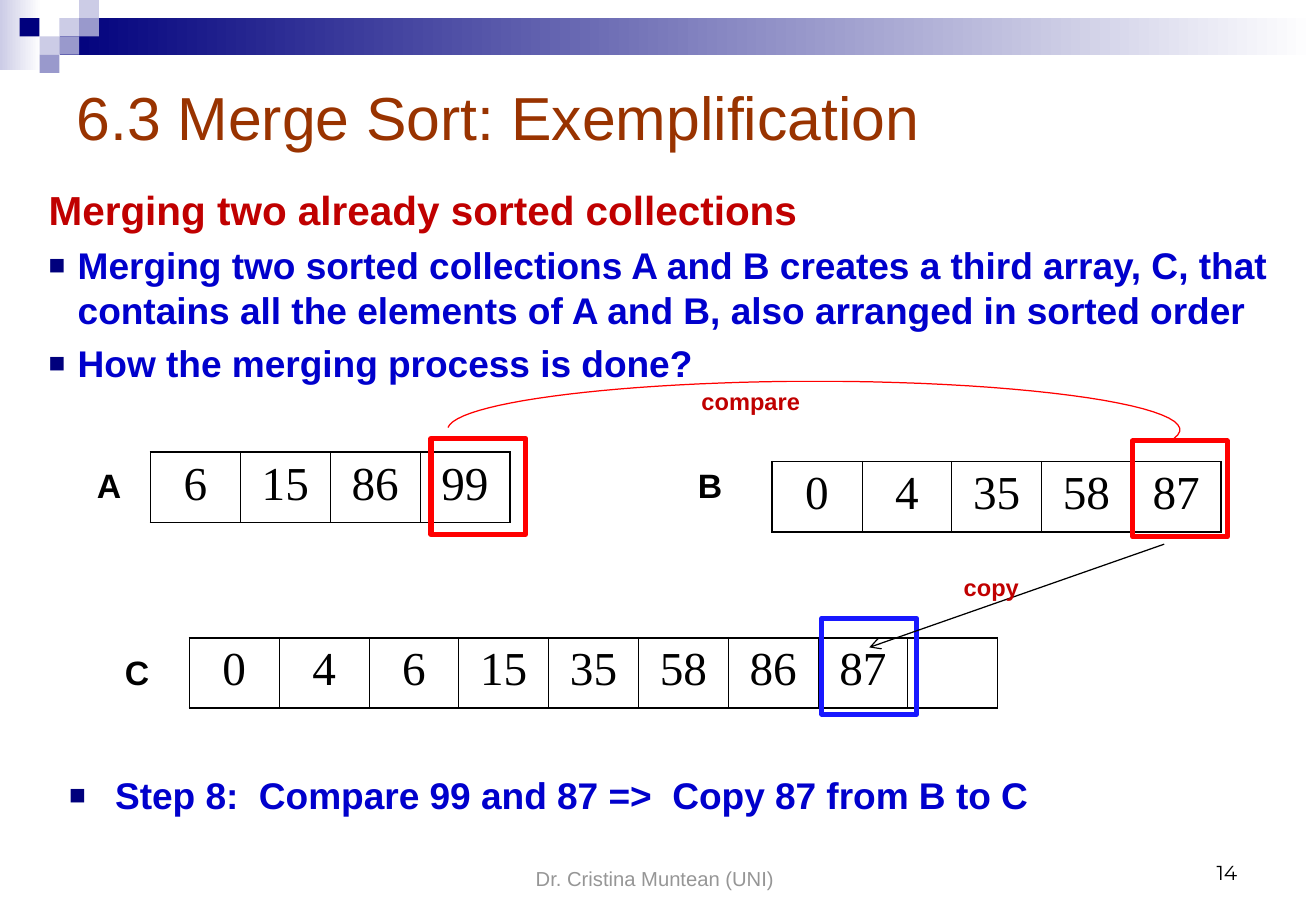
from lxml.etree import SubElement
from pptx import Presentation
from pptx.dml.color import RGBColor
from pptx.enum.shapes import MSO_CONNECTOR, MSO_SHAPE
from pptx.enum.text import MSO_ANCHOR, MSO_AUTO_SIZE, PP_ALIGN
from pptx.oxml.ns import qn
from pptx.util import Inches, Pt

BLACK = RGBColor(0x00, 0x00, 0x00)
WHITE = RGBColor(0xFF, 0xFF, 0xFF)
NAVY = RGBColor(0x00, 0x00, 0x7D)
LILAC = RGBColor(0xCC, 0xCC, 0xE6)
VIOLET = RGBColor(0x99, 0x99, 0xCC)
GREY = RGBColor(0x96, 0x96, 0x96)
BROWN = RGBColor(0x99, 0x33, 0x00)
CRIMSON = RGBColor(0xC0, 0x00, 0x00)
RED = RGBColor(0xFF, 0x00, 0x00)
BLUE = RGBColor(0x00, 0x00, 0xCC)
BRIGHT = RGBColor(0x18, 0x18, 0xFF)

CELL_W, CELL_H = 0.74, 0.58


def place(shape, box):
    shape.left, shape.top, shape.width, shape.height = map(Inches, box)


def write(par, text, size=22, color=BLUE, font="Arial", bold=False,
          align=PP_ALIGN.LEFT, before=0):
    par.alignment = align
    par.space_before = Pt(before)
    run = par.add_run()
    run.text = text
    run.font.size = Pt(size)
    run.font.name = font
    run.font.bold = bold
    run.font.color.rgb = color


def set_bullet(par, indent, mark=None):
    """Give the paragraph a hanging indent and a square, or no bullet."""
    props = par._p.get_or_add_pPr()
    props.set("marL", str(Inches(indent)))
    props.set("indent", str(-Inches(indent)))
    if mark is None:
        SubElement(props, qn("a:buNone"))
        return
    SubElement(SubElement(props, qn("a:buClr")), qn("a:srgbClr"), val=str(NAVY))
    SubElement(props, qn("a:buSzPct"), val="75000")
    SubElement(props, qn("a:buFont"), typeface="Arial")
    SubElement(props, qn("a:buChar"), char=mark)


def add_label(slide, box, text, anchor=MSO_ANCHOR.TOP, **style):
    frame = slide.shapes.add_textbox(*map(Inches, box)).text_frame
    frame.word_wrap = True
    frame.vertical_anchor = anchor
    write(frame.paragraphs[0], text, **style)
    return frame.paragraphs[0]


def add_rect(slide, box, fill=None, fade=None, line=None):
    """Draw a rectangle; fade is the right-hand colour of a gradient."""
    rect = slide.shapes.add_shape(MSO_SHAPE.RECTANGLE, *map(Inches, box))
    rect.shadow.inherit = False
    if fade is not None:
        rect.fill.gradient()
        rect.fill.gradient_angle = 0
        for stop, color, spot in zip(rect.fill.gradient_stops, (fill, fade), (0, 1)):
            stop.color.rgb = color
            stop.position = spot
    elif fill is not None:
        rect.fill.solid()
        rect.fill.fore_color.rgb = fill
    else:
        rect.fill.background()
    if line is None:
        rect.line.fill.background()
    else:
        rect.line.color.rgb = line
        rect.line.width = Pt(3)


def add_banner(slide, width):
    add_rect(slide, (0, 0, 0.34, 0.58), LILAC, WHITE)
    add_rect(slide, (0.49, 0.15, width - 0.49, 0.3), NAVY, WHITE)
    step_x, step_y = 0.163, 0.15
    tiles = [(3, 1, LILAC), (5, 0, LILAC), (4, 1, VIOLET), (2, 2, LILAC),
             (1, 1, NAVY), (3, 2, VIOLET), (2, 3, VIOLET)]
    for col, row, color in tiles:
        if col == 5:
            col = 4
        add_rect(slide, (col * step_x, row * step_y, step_x, step_y), color)


def add_title(slide, box):
    title = slide.shapes.title
    place(title, box)
    frame = title.text_frame
    frame.auto_size = MSO_AUTO_SIZE.NONE
    frame.vertical_anchor = MSO_ANCHOR.MIDDLE
    write(frame.paragraphs[0], "6.3 Merge Sort: Exemplification", size=36, color=BROWN)


def add_body(slide, box):
    body = slide.placeholders[1]
    place(body, box)
    frame = body.text_frame
    frame.auto_size = MSO_AUTO_SIZE.NONE
    head = frame.paragraphs[0]
    write(head, "Merging two already sorted collections", size=24,
          color=CRIMSON, bold=True, before=6)
    set_bullet(head, 0)
    for text in (
        "Merging two sorted collections A and B creates a third array, C, that "
        "contains all the elements of A and B, also arranged in sorted order",
        "How the merging process is done?",
    ):
        par = frame.add_paragraph()
        write(par, text, bold=True, before=5.5)
        set_bullet(par, 0.24, "■")


def add_border(cell, sides):
    """Draw the cell's edges; sides maps a tag to a width in points."""
    props = cell._tc.get_or_add_tcPr()
    for spot, (tag, width) in enumerate(sides.items()):
        edge = SubElement(props, qn(tag), w=str(Pt(width)))
        SubElement(SubElement(edge, qn("a:solidFill")), qn("a:srgbClr"), val=str(BLACK))
        props.insert(spot, edge)


def add_array(slide, name, values, left, top, label):
    """Draw a one-row array with its name at the label position."""
    add_label(slide, (*label, 0.46, 0.44), name, size=20, color=BLACK, bold=True)
    count = len(values)
    box = (left, top, count * CELL_W, CELL_H)
    table = slide.shapes.add_table(1, count, *map(Inches, box)).table
    table.first_row = table.horz_banding = False
    for col, value in enumerate(values):
        table.columns[col].width = Inches(CELL_W)
        cell = table.cell(0, col)
        cell.fill.background()
        add_border(cell, {
            "a:lnL": 1.08 if col == 0 else 0.45,
            "a:lnR": 1.08 if col == count - 1 else 0.45,
            "a:lnT": 1.08, "a:lnB": 1.08,
        })
        if value is not None:
            write(cell.text_frame.paragraphs[0], str(value), size=28, color=BLACK,
                  font="Times New Roman", align=PP_ALIGN.CENTER, before=7)


def add_arc(slide, start, curves, steps=24):
    """Trace joined cubic curves, each given as two controls and an end."""
    points = []
    first = start
    for curve in curves:
        for i in range(1, steps + 1):
            t = i / steps
            weights = ((1 - t) ** 3, 3 * t * (1 - t) ** 2, 3 * t * t * (1 - t), t ** 3)
            points.append(tuple(
                Inches(sum(w * p[axis] for w, p in zip(weights, (first, *curve))))
                for axis in (0, 1)))
        first = curve[-1]
    form = slide.shapes.build_freeform(*map(Inches, start))
    form.add_line_segments(points, close=False)
    arc = form.convert_to_shape()
    arc.shadow.inherit = False
    arc.fill.background()
    arc.line.color.rgb = RED
    arc.line.width = Pt(0.75)


def add_arrow(slide, start, end):
    arrow = slide.shapes.add_connector(MSO_CONNECTOR.STRAIGHT, *map(Inches, start + end))
    arrow.line.color.rgb = BLACK
    arrow.line.width = Pt(0.75)
    SubElement(arrow.line._get_or_add_ln(), qn("a:tailEnd"), type="arrow")
    SubElement(arrow._element.spPr, qn("a:effectLst"))


def add_merge(slide):
    add_array(slide, "A", (6, 15, 86, 99), 1.24, 3.72, (0.7, 3.78))
    add_array(slide, "B", (0, 4, 35, 58, 87), 6.36, 3.8, (5.65, 3.78))
    add_array(slide, "C", (0, 4, 6, 15, 35, 58, 86, 87, None), 1.56, 5.25, (0.93, 5.32))
    for left, top, color in ((3.55, 3.61, RED), (9.33, 3.63, RED), (6.77, 5.09, BRIGHT)):
        add_rect(slide, (left, top, 0.78, 0.79), line=color)
    add_arrow(slide, (9.59, 4.48), (7.16, 5.33))
    add_arc(slide, (3.69, 3.52), [
        ((3.77, 3.32), (4.97, 3.16), (6.48, 3.14)),
        ((6.63, 3.14), (6.79, 3.14), (6.94, 3.14)),
        ((8.72, 3.16), (9.99, 3.38), (9.67, 3.61)),
    ])
    note = dict(size=14, color=CRIMSON, bold=True)
    add_label(slide, (5.68, 3.14, 1.46, 0.34), "compare", **note)
    add_label(slide, (7.84, 4.67, 0.81, 0.34), "copy", **note)


def add_footer(slide):
    add_label(slide, (3.68, 6.88, 3.43, 0.5), "Dr. Cristina Muntean (UNI)",
              anchor=MSO_ANCHOR.BOTTOM, size=12, color=GREY, align=PP_ALIGN.CENTER)
    add_label(slide, (7.76, 6.83, 2.53, 0.5), "14", anchor=MSO_ANCHOR.BOTTOM,
              size=12, color=BLACK, font="Montserrat", align=PP_ALIGN.RIGHT)


def main():
    deck = Presentation()
    deck.slide_width, deck.slide_height = Inches(10.84), Inches(7.5)
    slide = deck.slides.add_slide(deck.slide_layouts[1])
    add_banner(slide, 10.84)
    add_title(slide, (0.53, 0.6, 9.75, 0.71))
    add_body(slide, (0.3, 1.47, 10.48, 2.05))
    add_merge(slide)
    step = add_label(slide, (0.47, 6.31, 10.31, 0.59),
                     "Step 8:  Compare 99 and 87 =>  Copy 87 from B to C",
                     bold=True, before=5.5)
    set_bullet(step, 0.38, "■")
    add_footer(slide)
    deck.save("out.pptx")


if __name__ == "__main__":
    main()
